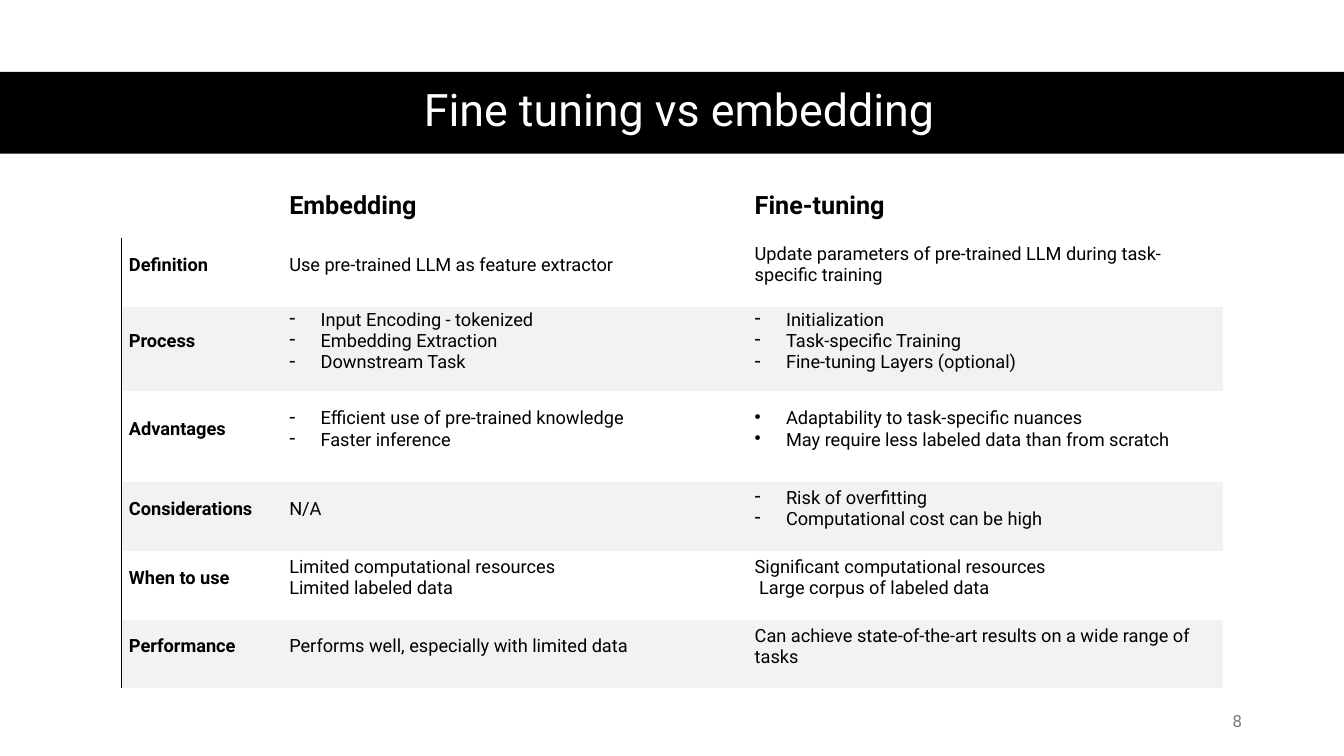
from lxml import etree
from pptx import Presentation
from pptx.dml.color import RGBColor
from pptx.enum.shapes import MSO_SHAPE
from pptx.enum.text import MSO_ANCHOR, PP_ALIGN
from pptx.oxml.ns import qn
from pptx.util import Cm, Pt

RECT = MSO_SHAPE.RECTANGLE
MIDDLE, BOTTOM = MSO_ANCHOR.MIDDLE, MSO_ANCHOR.BOTTOM
CENTER, RIGHT = PP_ALIGN.CENTER, PP_ALIGN.RIGHT
PLAIN = "{2D5ABB26-0587-4C30-8999-92F81FD0307C}"  # table style without grid
FONT = "Roboto"
HUES = {"black": "000000", "white": "FFFFFF", "band": "F2F2F2", "gray": "797979"}


def hue(name):
    return RGBColor.from_string(HUES[name])


def add_run(para, text, size, color, bold=False):
    run = para.add_run()
    run.text = text
    run.font.name, run.font.size, run.font.bold = FONT, Pt(size), bold
    run.font.color.rgb = hue(color)


deck = Presentation()
deck.slide_width, deck.slide_height = Cm(33.87), Cm(19.05)
slide = deck.slides.add_slide(deck.slide_layouts[6])
shapes = slide.shapes

# Title bar
bar = shapes.add_shape(RECT, 0, Cm(1.81), deck.slide_width, Cm(2.06))
bar.shadow.inherit = False
bar.fill.solid()
bar.fill.fore_color.rgb = hue("black")
bar.line.fill.background()

# Title and page number
labels = [
    ("Fine tuning vs embedding", (1.55, 1.78, 31.14, 2.06), 32, "white", CENTER, 0.9),
    ("8", (23.93, 17.65, 7.62, 1.02), 12, "gray", RIGHT, 1.0),
]
for text, place, size, color, align, gap in labels:
    box = shapes.add_textbox(*[Cm(n) for n in place])
    frame = box.text_frame
    frame.word_wrap = True
    frame.vertical_anchor = MIDDLE
    para = frame.paragraphs[0]
    para.alignment, para.line_spacing = align, gap
    add_run(para, text, size, color)

# Table content: each cell is a bullet mark and its lines
rows = [
    [("", []), ("", ["Embedding"]), ("", ["Fine-tuning"])],
    [("", ["Definition"]),
     ("", ["Use pre-trained LLM as feature extractor"]),
     ("", ["Update parameters of pre-trained LLM during task-specific training"])],
    [("", ["Process"]),
     ("-", ["Input Encoding - tokenized", "Embedding Extraction", "Downstream Task"]),
     ("-", ["Initialization", "Task-specific Training", "Fine-tuning Layers (optional)"])],
    [("", ["Advantages"]),
     ("-", ["Efficient use of pre-trained knowledge", "Faster inference"]),
     ("•", ["Adaptability to task-specific nuances",
            "May require less labeled data than from scratch"])],
    [("", ["Considerations"]),
     ("", ["N/A"]),
     ("-", ["Risk of overfitting", "Computational cost can be high"])],
    [("", ["When to use"]),
     ("", ["Limited computational resources", "Limited labeled data"]),
     ("", ["Significant computational resources", " Large corpus of labeled data"])],
    [("", ["Performance"]),
     ("", ["Performs well, especially with limited data"]),
     ("", ["Can achieve state-of-the-art results on a wide range of tasks"])],
]
widths = [4.04, 11.73, 11.99]
heights = [1.35, 1.73, 1.73, 2.29, 1.73, 1.73, 1.73]

# Table frame
table = shapes.add_table(len(rows), len(widths), Cm(3.05), Cm(4.65),
                         Cm(sum(widths)), Cm(sum(heights))).table
table.first_row = table.horz_banding = False
table._tbl.tblPr.find(qn("a:tableStyleId")).text = PLAIN
for col, width in zip(table.columns, widths):
    col.width = Cm(width)
for row, height in zip(table.rows, heights):
    row.height = Cm(height)

# Table cells
for r, row in enumerate(rows):
    for c, (mark, lines) in enumerate(row):
        cell = table.cell(r, c)
        cell.margin_left, cell.margin_right = Cm(0.2), Cm(0.1)
        cell.margin_top, cell.margin_bottom = Cm(0.05), Cm(0.43)
        cell.vertical_anchor = MIDDLE if r else BOTTOM
        if r and r % 2 == 0:
            cell.fill.solid()
            cell.fill.fore_color.rgb = hue("band")
        else:
            cell.fill.background()

        frame = cell.text_frame
        for i, line in enumerate(lines):
            para = frame.add_paragraph() if i else frame.paragraphs[0]
            add_run(para, line, 13 if r else 18, "black", r == 0 or c == 0)
            if mark:
                props = para._p.get_or_add_pPr()
                props.set("marL", str(Cm(0.79)))
                props.set("indent", str(-Cm(0.79)))
                etree.SubElement(props, qn("a:buChar"), char=mark)

        # Rule along the left of the row names
        if r and c == 0:
            edge = etree.Element(qn("a:lnL"), w=str(Pt(0.75)))
            fill = etree.SubElement(edge, qn("a:solidFill"))
            etree.SubElement(fill, qn("a:srgbClr"), val=HUES["black"])
            cell._tc.get_or_add_tcPr().insert(0, edge)

deck.save("out.pptx")
